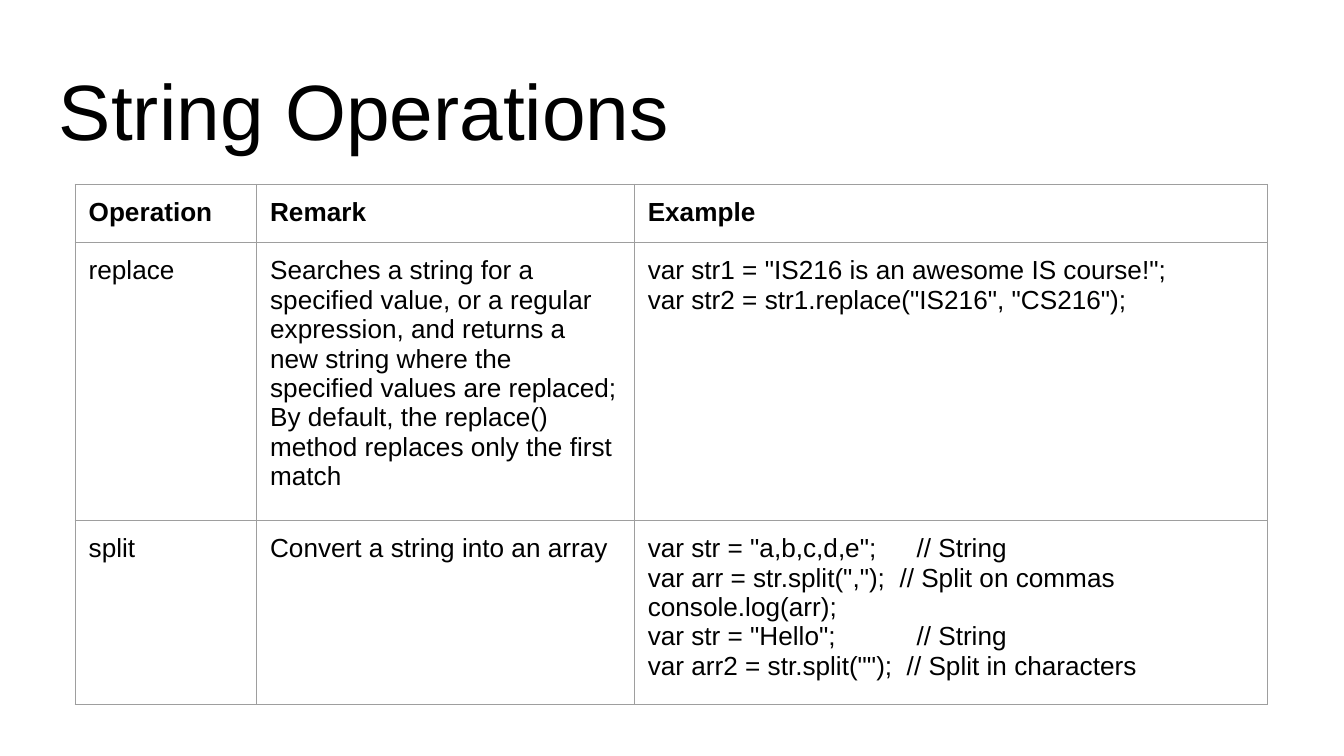
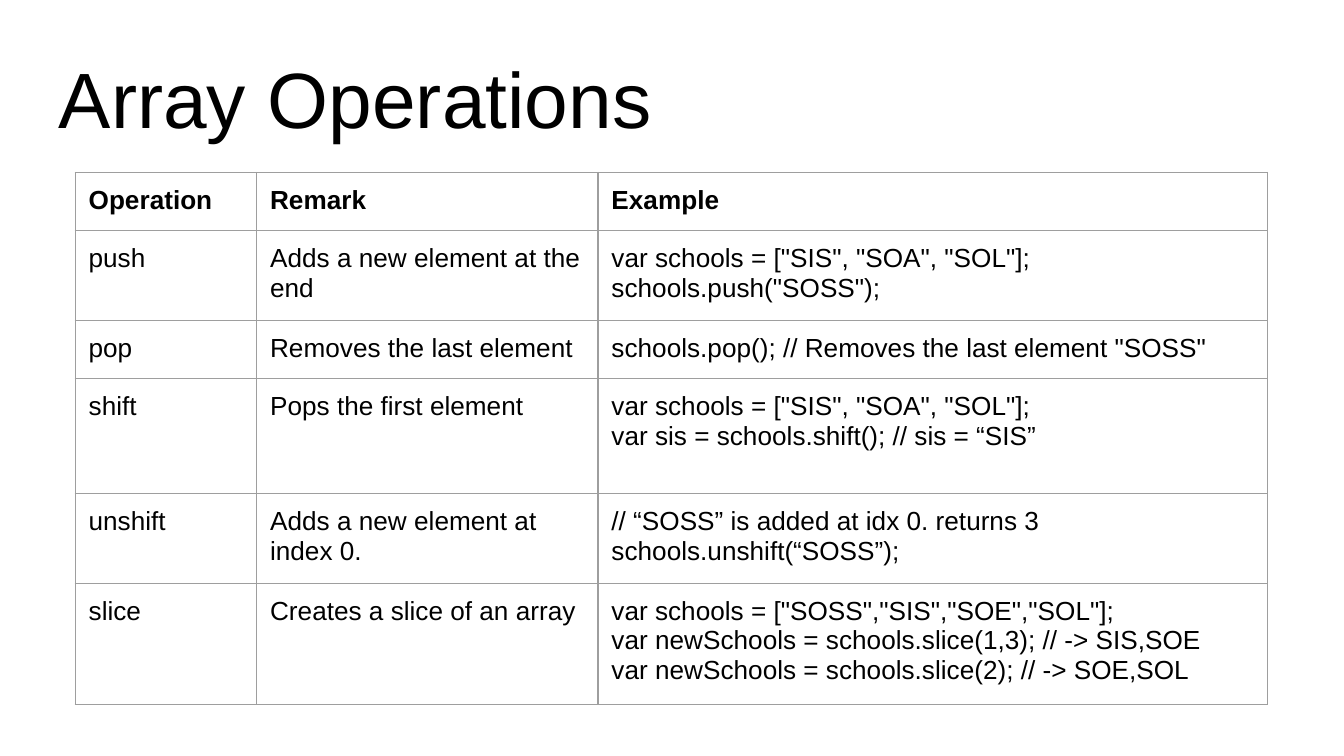
"""Build two slides that tabulate string and array operations."""
from lxml import etree
from pptx import Presentation
from pptx import util as u
from pptx.dml.color import RGBColor
from pptx.enum import text
from pptx.oxml import ns

SLIDE_WIDTH, SLIDE_HEIGHT = u.Inches(10), u.Inches(5.625)
COLORS = {"background": "FFFFFF", "text": "000000", "border": "9E9E9E"}
FONT = "Arial"
INSET = u.Inches(0.1)
TITLE_LEFT, TITLE_WIDTH, TITLE_HEIGHT = 3.4, 93.2, 16.2
TABLE_LEFT, TABLE_DROP = 5.6, 18.2
LINE_HEIGHT = 3.88
HEADER = ("Operation", "Remark", "Example")

STRING_ROWS = [
    (1, HEADER),
    (8, ("replace",
         "Searches a string for a specified value, or a regular expression, "
         "and returns a new string where the specified values are replaced;\n"
         "By default, the replace() method replaces only the first match",
         'var str1 = "IS216 is an awesome IS course!";\n'
         'var str2 = str1.replace("IS216", "CS216");')),
    (5, ("split", "Convert a string into an array",
         'var str = "a,b,c,d,e";\t// String\n'
         'var arr = str.split(",");  // Split on commas\n'
         'console.log(arr);\n'
         'var str = "Hello";\t// String\n'
         'var arr2 = str.split("");  // Split in characters')),
]
ARRAY_ROWS = [
    (1, HEADER),
    (2, ("push", "Adds a new element at the end",
         'var schools = ["SIS", "SOA", "SOL"];\nschools.push("SOSS");')),
    (1, ("pop", "Removes the last element",
         'schools.pop(); // Removes the last element "SOSS"')),
    (3, ("shift", "Pops the first element",
         'var schools = ["SIS", "SOA", "SOL"];\n'
         'var sis = schools.shift(); // sis = “SIS”')),
    (2, ("unshift", "Adds a new element at index 0.",
         '// “SOSS” is added at idx 0. returns 3\nschools.unshift(“SOSS”);')),
    (3, ("slice", "Creates a slice of an array",
         'var schools = ["SOSS","SIS","SOE","SOL"];\n'
         'var newSchools = schools.slice(1,3); // -> SIS,SOE\n'
         'var newSchools = schools.slice(2); // -> SOE,SOL')),
]


def across(percent):
    """Return a share of the slide width."""
    return round(SLIDE_WIDTH * percent / 100)


def down(percent):
    """Return a share of the slide height."""
    return round(SLIDE_HEIGHT * percent / 100)


def set_insets(holder):
    """Give a cell or text frame the shared inner margins."""
    holder.margin_left = holder.margin_right = INSET
    holder.margin_top = holder.margin_bottom = INSET


def style_text(frame, size, bold=False):
    """Format every run of a text frame."""
    for paragraph in frame.paragraphs:
        for run in paragraph.runs:
            run.font.name = FONT
            run.font.size = u.Pt(size)
            run.font.bold = bold
            run.font.color.rgb = RGBColor.from_string(COLORS["text"])


def add_tab_stop(paragraph, position):
    """Set a left tab stop on a paragraph."""
    properties = paragraph._p.get_or_add_pPr()
    stops = etree.SubElement(properties, ns.qn("a:tabLst"))
    etree.SubElement(stops, ns.qn("a:tab"), pos=str(position), algn="l")


def add_borders(cell):
    """Draw a thin line on each side of a cell."""
    properties = cell._tc.get_or_add_tcPr()
    for index, side in enumerate(("lnL", "lnR", "lnT", "lnB")):
        line = etree.Element(ns.qn(f"a:{side}"), w=str(u.Pt(0.75)))
        fill = etree.SubElement(line, ns.qn("a:solidFill"))
        etree.SubElement(fill, ns.qn("a:srgbClr"), val=COLORS["border"])
        properties.insert(index, line)


def add_title(slide, title, top):
    """Add the large title line."""
    shape = slide.shapes.add_textbox(across(TITLE_LEFT), down(top),
                                     across(TITLE_WIDTH), down(TITLE_HEIGHT))
    frame = shape.text_frame
    frame.word_wrap = True
    frame.vertical_anchor = text.MSO_ANCHOR.BOTTOM
    set_insets(frame)
    frame.text = title
    style_text(frame, 42)


def fill_cell(cell, content, bold):
    """Write and format one table cell."""
    set_insets(cell)
    cell.text_frame.text = content
    style_text(cell.text_frame, 14, bold)
    for paragraph in cell.text_frame.paragraphs:
        if "\t" in paragraph.text:
            add_tab_stop(paragraph, u.Inches(2))
    cell.fill.background()
    add_borders(cell)


def add_operations(slide, top, columns, rows):
    """Add a table whose row heights follow their line counts."""
    heights = [down(lines * LINE_HEIGHT) + 2 * INSET for lines, _ in rows]
    table = slide.shapes.add_table(
        len(rows), len(columns), across(TABLE_LEFT), down(top),
        across(sum(columns)), sum(heights)).table
    table.first_row = table.horz_banding = False
    for column, width in zip(table.columns, columns):
        column.width = across(width)
    for index, (_, contents) in enumerate(rows):
        table.rows[index].height = heights[index]
        for cell, content in zip(table.rows[index].cells, contents):
            fill_cell(cell, content, bold=index == 0)


def add_operations_slide(presentation, title, top, columns, rows):
    """Add a slide with a title above its table of operations."""
    slide = presentation.slides.add_slide(presentation.slide_layouts[6])
    background = slide.background.fill
    background.solid()
    background.fore_color.rgb = RGBColor.from_string(COLORS["background"])
    add_title(slide, title, top)
    add_operations(slide, top + TABLE_DROP, columns, rows)


def main():
    """Build and save the presentation."""
    presentation = Presentation()
    presentation.slide_width = SLIDE_WIDTH
    presentation.slide_height = SLIDE_HEIGHT
    add_operations_slide(presentation, "String Operations", 6.2,
                         (13.5, 28.1, 47.1), STRING_ROWS)
    add_operations_slide(presentation, "Array Operations", 4.6,
                         (13.5, 25.4, 49.8), ARRAY_ROWS)
    presentation.save("out.pptx")


if __name__ == "__main__":
    main()
